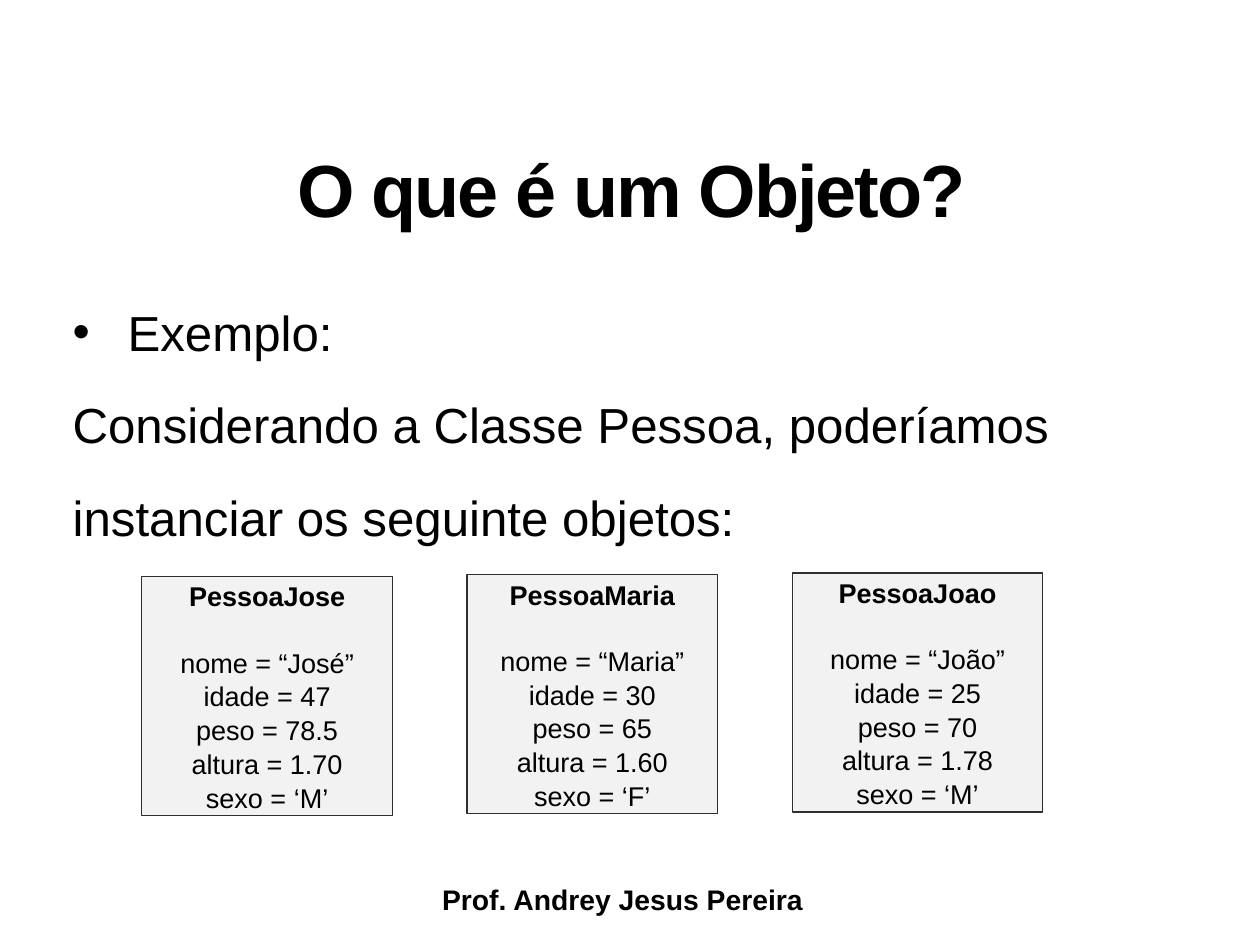
"""Build the slide that shows three objects of the class Pessoa."""
from lxml import etree
from pptx import Presentation
from pptx.dml.color import RGBColor
from pptx.enum.shapes import MSO_SHAPE
from pptx.enum.text import MSO_ANCHOR, MSO_AUTO_SIZE, PP_ALIGN
from pptx.oxml.ns import qn
from pptx.util import Inches, Pt

RECT = MSO_SHAPE.RECTANGLE
TOP, MIDDLE, BOTTOM = MSO_ANCHOR.TOP, MSO_ANCHOR.MIDDLE, MSO_ANCHOR.BOTTOM
LEFT, CENTER = PP_ALIGN.LEFT, PP_ALIGN.CENTER
NO_FIT = MSO_AUTO_SIZE.NONE

BOX_W, BOX_H = 2.83, 2.7
BOX_X, BOX_STEP_X = 1.6, 3.67
BOX_Y, BOX_STEP_Y = 6.51, -0.02
INDENT = Inches(0.62)

people = [
    ("PessoaJose", "“José”", "47", "78.5", "1.70", "‘M’"),
    ("PessoaMaria", "“Maria”", "30", "65", "1.60", "‘F’"),
    ("PessoaJoao", "“João”", "25", "70", "1.78", "‘M’"),
]
fields = ["nome", "idade", "peso", "altura", "sexo"]


def set_frame(sp, x, y, w, h, anchor):
    sp.left, sp.top, sp.width, sp.height = [Inches(v) for v in (x, y, w, h)]
    tf = sp.text_frame
    tf.auto_size = NO_FIT
    tf.word_wrap = True
    tf.vertical_anchor = anchor
    tf.margin_left = tf.margin_right = Inches(0.06)
    tf.margin_top = tf.margin_bottom = Inches(0.06)
    return tf


def add_line(tf, text, size, bold=False, align=LEFT, spacing=1.0):
    p = tf.paragraphs[0] if not tf.text else tf.add_paragraph()
    p.alignment = align
    p.line_spacing = spacing
    p.space_before = Pt(0)
    r = p.add_run()
    r.text = text
    r.font.name = "Arial"
    r.font.size = Pt(size)
    r.font.bold = bold
    r.font.color.rgb = RGBColor.from_string("000000")
    return p


prs = Presentation()
prs.slide_width, prs.slide_height = Inches(14.22), Inches(10.67)
s = prs.slides.add_slide(prs.slide_layouts[0])

tf = set_frame(s.shapes.title, 0.57, 1.71, 13.12, 1.02, MIDDLE)
p = add_line(tf, "O que é um Objeto?", 60, True, CENTER, 0.8)
p.runs[0].font._element.set("spc", "-160")

tf = set_frame(s.placeholders[1], 0.76, 2.97, 12.69, 6.38, TOP)
p = add_line(tf, "Exemplo:", 40, spacing=1.57)
pPr = p._p.get_or_add_pPr()
pPr.set("marL", str(INDENT))
pPr.set("indent", str(-INDENT))
etree.SubElement(pPr, qn("a:buChar")).set("char", "•")
add_line(tf, "Considerando a Classe Pessoa, poderíamos instanciar os seguinte objetos:",
         40, spacing=1.57)

for i, (name, *values) in enumerate(people):
    sp = s.shapes.add_shape(RECT, 0, 0, 0, 0)
    sp.shadow.inherit = False
    sp.fill.solid()
    sp.fill.fore_color.rgb = RGBColor.from_string("F2F2F2")
    sp.line.color.rgb = RGBColor.from_string("2F2F2F")
    sp.line.width = Pt(1)
    tf = set_frame(sp, BOX_X + i * BOX_STEP_X, BOX_Y + i * BOX_STEP_Y, BOX_W, BOX_H, MIDDLE)
    p = add_line(tf, name, 22, True, CENTER, 1.04)
    p.space_after = Pt(26.3)
    for field, value in zip(fields, values):
        add_line(tf, f"{field} = {value}", 22, False, CENTER, 1.04)

tf = set_frame(s.shapes.add_textbox(0, 0, 0, 0), 4.93, 9.9, 4.4, 0.5, BOTTOM)
add_line(tf, "Prof. Andrey Jesus Pereira", 23, True)

prs.save("out.pptx")
